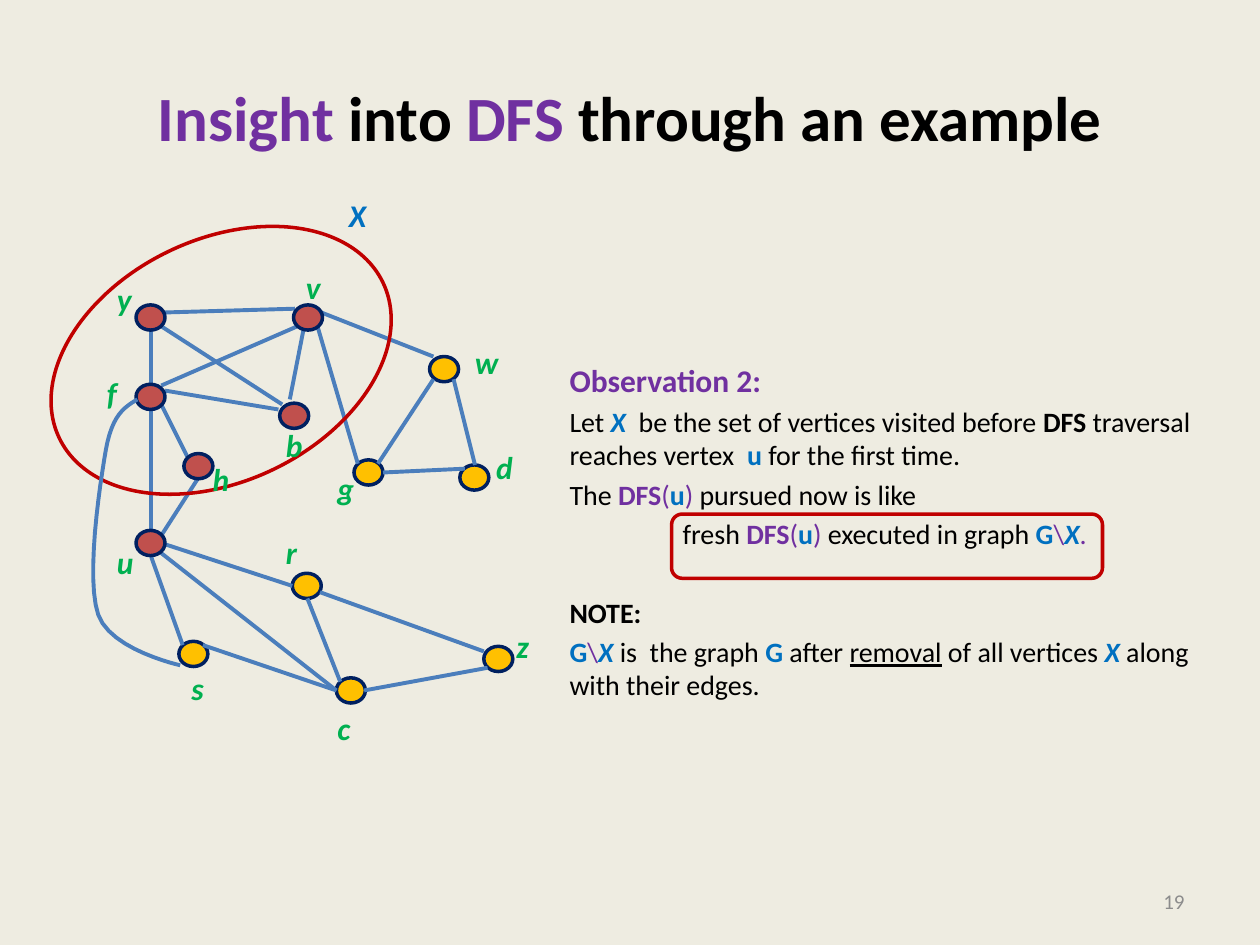
from lxml import etree
from pptx import Presentation
from pptx.dml.color import RGBColor
from pptx.enum.shapes import MSO_CONNECTOR, MSO_SHAPE
from pptx.enum.text import MSO_ANCHOR, MSO_AUTO_SIZE, PP_ALIGN
from pptx.oxml.ns import qn
from pptx.util import Cm, Pt

LINE = MSO_CONNECTOR.STRAIGHT
OVAL, ROUND = MSO_SHAPE.OVAL, MSO_SHAPE.ROUNDED_RECTANGLE
LEFT, CENTER, RIGHT = PP_ALIGN.LEFT, PP_ALIGN.CENTER, PP_ALIGN.RIGHT
TOP, MIDDLE = MSO_ANCHOR.TOP, MSO_ANCHOR.MIDDLE
FIXED = MSO_AUTO_SIZE.NONE
INCH = 2.54
INK = {
    "paper": "EEECE1", "black": "000000", "purple": "7030A0",
    "blue": "0070C0", "green": "00B050", "grey": "8C8C8C",
    "gold": "FFC000", "red": "C0504D", "navy": "002060",
    "edge": "4B7EBC", "ring": "C00000",
}

FRESH = {"w": (3.41, 2.83), "g": (2.81, 3.65), "d": (3.65, 3.69), "r": (2.32, 4.55),
         "s": (1.42, 5.09), "z": (3.84, 5.13), "c": (2.67, 5.38)}
SEEN = {"y": (1.08, 2.42), "v": (2.33, 2.42), "f": (1.08, 3.05),
        "b": (2.22, 3.2), "h": (1.46, 3.6), "u": (1.08, 4.21)}
LABELS = {"z": (4, 4.93), "c": (2.58, 5.58), "d": (3.84, 3.51), "g": (2.58, 3.67),
          "u": (0.83, 4.26), "w": (3.67, 2.67), "r": (2.17, 4.18), "s": (1.42, 5.26),
          "y": (0.83, 2.17), "f": (0.75, 2.92), "b": (2.17, 3.33), "h": (1.59, 3.6),
          "v": (2.33, 2.08)}
EDGES = [
    (1.31, 4.32, 2.32, 4.65), (1.45, 5.12, 1.2, 4.42), (3.77, 3.69, 3.6, 3.01),
    (2.89, 5.48, 3.87, 5.3), (2.44, 4.75, 2.7, 5.41), (3.04, 3.75, 3.69, 3.72),
    (3, 3.68, 3.44, 3.01), (1.28, 4.39, 2.67, 5.48), (3.84, 5.17, 2.54, 4.7),
    (1.61, 5.12, 2.67, 5.48), (1.31, 3.1, 2.21, 3.25), (1.31, 2.48, 2.34, 2.45),
    (1.2, 2.63, 1.2, 3.04), (1.2, 3.22, 1.2, 4.21), (2.55, 2.48, 3.44, 2.83),
    (1.28, 3.21, 1.49, 3.63), (2.41, 2.61, 2.3, 3.17), (1.28, 2.59, 2.24, 3.21),
    (2.36, 2.59, 1.28, 3.06), (2.52, 2.59, 2.84, 3.68), (1.57, 3.8, 1.28, 4.25),
]
ARC = [(1.09, 3.17), (0.99, 3.23), (0.89, 3.29), (0.84, 3.57), (0.79, 3.86),
       (0.68, 4.59), (0.78, 4.88), (0.88, 5.16), (1.43, 5.28), (1.43, 5.28)]

TITLE = [("Insight ", "purple b"), ("into", "black b"), (" DFS ", "purple b"),
         ("through an example", "black b")]
CALL = [("DFS", "purple b"), ("(", "purple"), ("u", "blue b"), (") ", "purple")]
REST = [("G", "blue b"), ("\\", "purple")]
BODY = [
    (18, 0, 0, [("Observation 2:", "purple b")]),
    (16, 3.2, 0, [("Let ", "black"), ("X", "blue bi"),
                  ("  be the set of vertices visited before ", "black"), ("DFS", "black b"),
                  (" traversal reaches vertex  ", "black"), ("u ", "blue b"),
                  ("for the first time.", "black")]),
    (16, 3.2, 0, [("The ", "black"), *CALL, ("pursued now is like", "black")]),
    (16, 3.2, 2.28, [("fresh ", "black"), *CALL, ("executed in graph ", "black"),
                     *REST, ("X", "blue bi"), (".", "purple")]),
    (16, 25.9, 0, [("NOTE:", "black b")]),
    (16, 3.2, 0, [*REST, ("X ", "blue bi"), ("is  the graph ", "black"), ("G ", "blue b"),
                  ("after ", "black"), ("removal", "black u"), (" of all vertices ", "black"),
                  ("X ", "blue bi"), ("along with their edges.", "black")]),
]


def rgb(name):
    """Return the named colour."""
    return RGBColor.from_string(INK[name])


def cms(*vals):
    """Turn inches into Cm lengths."""
    return [Cm(v * INCH) for v in vals]


def bend(pts, steps=12):
    """Sample a chain of cubic curves."""
    out = [pts[0]]
    for i in range(0, len(pts) - 1, 3):
        for k in range(1, steps + 1):
            t = k / steps
            mix = ((1 - t) ** 3, 3 * t * (1 - t) ** 2, 3 * t * t * (1 - t), t ** 3)
            out.append(tuple(sum(m * p[n] for m, p in zip(mix, pts[i:i + 4]))
                             for n in (0, 1)))
    return out


class Deck:
    """Hold the style and the current slide."""

    font = "Calibri"

    def __init__(self):
        self.prs = Presentation()
        self.prs.slide_width, self.prs.slide_height = cms(10, 7.5)
        self.slide = self.prs.slides.add_slide(self.prs.slide_layouts[1])
        self.shapes = self.slide.shapes
        fill = self.slide.background.fill
        fill.solid()
        fill.fore_color.rgb = rgb("paper")

    def place(self, item, box):
        item.left, item.top, item.width, item.height = cms(*box)

    def style(self, para, parts, size, align=LEFT):
        para.alignment = align
        for text, look in parts:
            run = para.add_run()
            run.text = text
            name, _, marks = look.partition(" ")
            font = run.font
            font.name, font.size = self.font, Pt(size)
            font.color.rgb = rgb(name)
            font.bold, font.italic = "b" in marks, "i" in marks
            font.underline = "u" in marks

    def title(self, parts, box):
        item = self.shapes.title
        self.place(item, box)
        item.text_frame.vertical_anchor = MIDDLE
        self.style(item.text_frame.paragraphs[0], parts, 36, CENTER)

    def body(self, rows, box):
        item = self.slide.placeholders[1]
        self.place(item, box)
        frame = item.text_frame
        frame.auto_size = FIXED
        frame.margin_top = Cm(2.83)
        for i, (size, gap, left, parts) in enumerate(rows):
            para = frame.add_paragraph() if i else frame.paragraphs[0]
            self.style(para, parts, size)
            para.space_before = Pt(gap)
            props = para._p.get_or_add_pPr()
            props.set("marL", str(Cm(left)))
            props.set("indent", "0")
            etree.SubElement(props, qn("a:buNone"))

    def text(self, text, look, box, size=18, align=LEFT, wrap=False, anchor=TOP):
        frame = self.shapes.add_textbox(*cms(*box)).text_frame
        frame.word_wrap, frame.vertical_anchor = wrap, anchor
        self.style(frame.paragraphs[0], [(text, look)], size, align)

    def trim(self, item, line, width, fill=None):
        item.shadow.inherit = False
        if fill:
            item.fill.solid()
            item.fill.fore_color.rgb = rgb(fill)
        else:
            item.fill.background()
        item.line.color.rgb = rgb(line)
        item.line.width = Pt(width)

    def shape(self, kind, box, line, fill=None, turn=0):
        item = self.shapes.add_shape(kind, *cms(*box))
        item.rotation = turn
        self.trim(item, line, 2, fill)

    def nodes(self, spots, fill):
        for x, y in spots.values():
            self.shape(OVAL, (x, y, 0.23, 0.2), "navy", fill)

    def edge(self, ends):
        item = self.shapes.add_connector(LINE, *cms(*ends))
        item.line.color.rgb = rgb("edge")
        item.line.width = Pt(2.25)
        etree.SubElement(item._element.spPr, qn("a:effectLst"))

    def curve(self, pts):
        first, *rest = [cms(*p) for p in bend(pts)]
        pen = self.shapes.build_freeform(*first)
        pen.add_line_segments(rest, close=False)
        self.trim(pen.convert_to_shape(), "edge", 2.25)


def main():
    """Build the slide."""
    deck = Deck()
    deck.title(TITLE, (0.5, 0.3, 9, 1.25))
    deck.body(BODY, (4.42, 1.75, 5.33, 4.95))
    deck.text("19", "grey", (7.17, 6.95, 2.33, 0.4), 12, RIGHT, True, MIDDLE)
    deck.nodes(FRESH, "gold")
    for ends in EDGES:
        deck.edge(ends)
    deck.shape(OVAL, (0.33, 1.9, 2.85, 1.92), "ring", turn=334.3)
    deck.text("X", "blue bi", (2.67, 1.51, 0.34, 0.4))
    for name, (x, y) in LABELS.items():
        deck.text(name, "green bi", (x, y, 0.33, 0.4))
    deck.nodes(SEEN, "red")
    deck.curve(ARC)
    deck.shape(ROUND, (5.33, 4.08, 3.42, 0.51), "ring")
    deck.prs.save("out.pptx")


if __name__ == "__main__":
    main()
